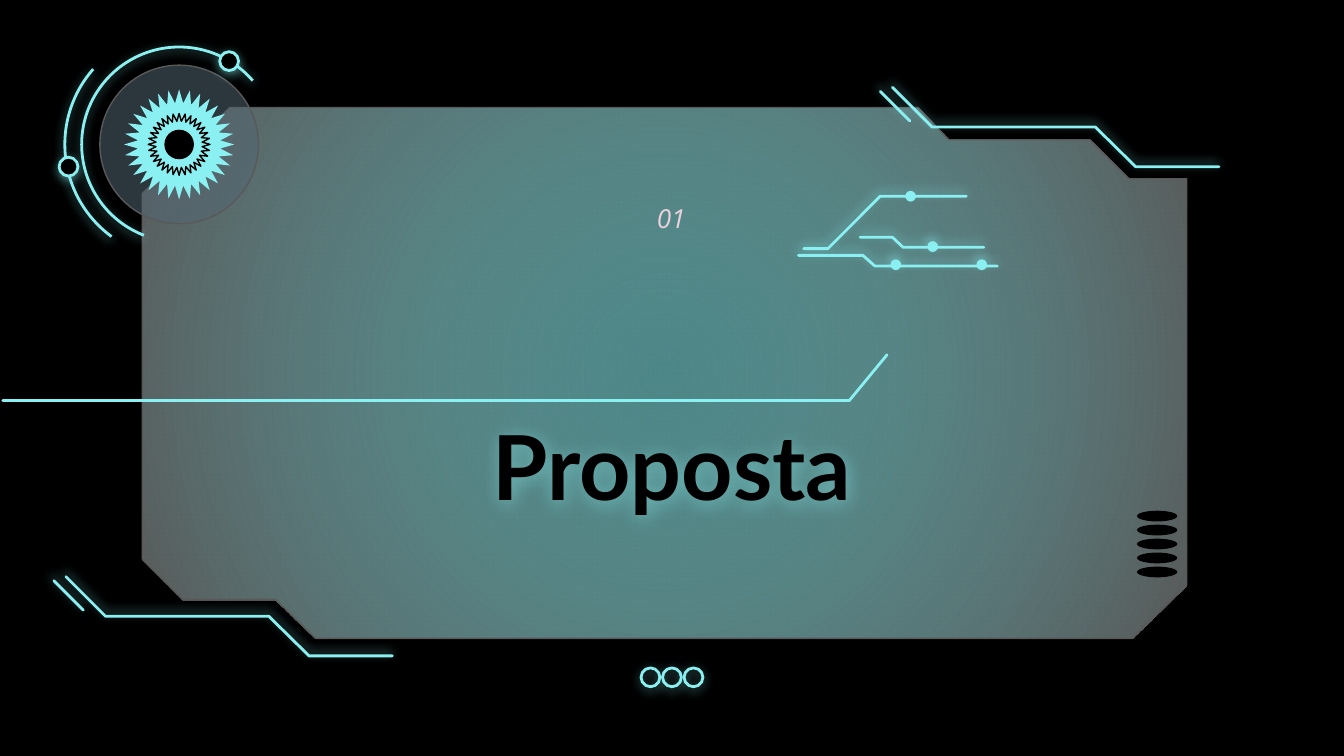
from dataclasses import dataclass
from pptx import Presentation
from pptx.dml.color import RGBColor
from pptx.enum.shapes import MSO_SHAPE
from pptx.enum.text import MSO_ANCHOR, MSO_AUTO_SIZE, PP_ALIGN
from pptx.oxml import parse_xml
from pptx.oxml.ns import nsdecls, qn
from pptx.util import Inches, Pt


@dataclass(frozen=True)
class Theme:
    ink: str = "000000"
    neon: str = "8BF0F1"
    edge: str = "595959"
    disc: str = "536672"
    number: str = "EAD1DC"
    title_font: str = "Lato"
    number_font: str = "Open Sans"
    title_size: float = 48
    number_size: float = 14
    stroke: float = 1.5
    hairline: float = 0.75
    upper_glow: tuple = (5.6, 2.2, 256)
    lower_glow: tuple = (5.6, 1.5, 90)
    title_glow: tuple = (10, 1.5, 90)


def format_text(frame, text, font, size, color, bold=False, italic=False, spacing=1.0):
    frame.word_wrap = True
    para = frame.paragraphs[0]
    para.alignment = PP_ALIGN.CENTER
    para.line_spacing = spacing
    span = para.add_run()
    span.text = text
    span.font.name = font
    span.font.size = Pt(size)
    span.font.bold = bold
    span.font.italic = italic
    span.font.color.rgb = RGBColor.from_string(color)


class Stage:
    columns = 100

    def __init__(self, deck, theme):
        self.theme = theme
        self.cell = deck.slide_width / self.columns
        self.page = deck.slides.add_slide(deck.slide_layouts[0])
        fill = self.page.background.fill
        fill.solid()
        fill.fore_color.rgb = RGBColor.from_string(theme.ink)

    def grid(self, *cells):
        return [round(value * self.cell) for value in cells]

    def glow(self, shape, glow):
        shape.shadow.inherit = False
        if glow:
            blur, distance, angle = glow
            effects = shape._element.spPr.find(qn("a:effectLst"))
            effects.append(parse_xml(
                f'<a:outerShdw {nsdecls("a")} blurRad="{int(Pt(blur))}" dist="{int(Pt(distance))}" '
                f'dir="{angle * 60000}" algn="bl" rotWithShape="0"><a:srgbClr val="{self.theme.neon}">'
                '<a:alpha val="50000"/></a:srgbClr></a:outerShdw>'))

    def style(self, shape, fill=None, line=None, weight=None, glow=None, alpha=None):
        if fill:
            shape.fill.solid()
            shape.fill.fore_color.rgb = RGBColor.from_string(fill)
        else:
            shape.fill.background()
        if alpha:
            color = shape._element.spPr.find(qn("a:solidFill"))[0]
            color.append(parse_xml(f'<a:alpha {nsdecls("a")} val="{alpha * 1000}"/>'))
        if line:
            shape.line.color.rgb = RGBColor.from_string(line)
            shape.line.width = Pt(weight or self.theme.stroke)
        else:
            shape.line.fill.background()
        self.glow(shape, glow)
        return shape

    def preset(self, kind, left, top, width, height, **style):
        shape = self.page.shapes.add_shape(kind, *self.grid(left, top, width, height))
        return self.style(shape, **style)

    def centred(self, kind, middle_x, middle_y, size, **style):
        half = size / 2
        return self.preset(kind, middle_x - half, middle_y - half, size, size, **style)

    def circle(self, middle_x, middle_y, size, **style):
        self.centred(MSO_SHAPE.OVAL, middle_x, middle_y, size, **style)

    def ring(self, middle_x, middle_y, fill=None):
        self.circle(middle_x, middle_y, 1.4, fill=fill, line=self.theme.neon,
                    glow=self.theme.lower_glow)

    def star(self, middle_x, middle_y, size, **style):
        self.centred(MSO_SHAPE.STAR_32_POINT, middle_x, middle_y, size,
                     fill=self.theme.neon, **style)

    def arc(self, middle_x, middle_y, size, start, end):
        shape = self.centred(MSO_SHAPE.ARC, middle_x, middle_y, size,
                             line=self.theme.neon, glow=self.theme.lower_glow)
        shape.adjustments[0] = start
        shape.adjustments[1] = end
        shape._element.spPr.find(qn("a:xfrm")).set("flipH", "1")

    def outline(self, points, closed=False):
        first, *rest = [self.grid(*point) for point in points]
        builder = self.page.shapes.build_freeform(*first)
        builder.add_line_segments(rest, close=closed)
        return builder.convert_to_shape()

    def trace(self, points, glow=None):
        shape = self.style(self.outline(points), line=self.theme.neon, glow=glow)
        shape._element.spPr.find(qn("a:ln")).set("cap", "rnd")

    def panel(self, points):
        theme = self.theme
        shape = self.style(self.outline(points, closed=True), line=theme.edge, weight=theme.hairline)
        properties = shape._element.spPr
        properties.replace(properties.find(qn("a:noFill")), parse_xml(
            f'<a:gradFill {nsdecls("a")} rotWithShape="1"><a:gsLst>'
            f'<a:gs pos="0"><a:srgbClr val="{theme.neon}"><a:alpha val="56000"/></a:srgbClr></a:gs>'
            f'<a:gs pos="100000"><a:srgbClr val="{theme.edge}"/></a:gs></a:gsLst>'
            '<a:path path="circle"><a:fillToRect l="50000" t="50000" r="50000" b="50000"/></a:path>'
            '</a:gradFill>'))

    def bracket(self, left, top):
        for stroke in [
            [(0, 0), (2.95, 2.95), (15.1, 2.95), (18.1, 5.9), (24.3, 5.9)],
            [(-0.9, 0.3), (1.3, 2.5)],
        ]:
            self.trace([(left + x, top + y) for x, y in stroke], self.theme.upper_glow)

    def title(self, text, left, top, width, height):
        title = self.page.shapes.title
        title.left, title.top, title.width, title.height = self.grid(left, top, width, height)
        frame = title.text_frame
        frame.auto_size = MSO_AUTO_SIZE.NONE
        frame.vertical_anchor = MSO_ANCHOR.MIDDLE
        frame.margin_left = frame.margin_right = frame.margin_top = frame.margin_bottom = Inches(0.1)
        format_text(frame, text, self.theme.title_font, self.theme.title_size, self.theme.ink,
                    bold=True, spacing=0.8)
        self.glow(title, self.theme.title_glow)
        self.page.shapes._spTree.append(title._element)

    def number(self, text, left, top, width, height):
        box = self.page.shapes.add_textbox(*self.grid(left, top, width, height))
        format_text(box.text_frame, text, self.theme.number_font, self.theme.number_size,
                    self.theme.number, italic=True)


deck = Presentation()
deck.slide_width, deck.slide_height = Inches(10), Inches(5.625)
theme = Theme()
stage = Stage(deck, theme)
subtitle = stage.page.placeholders[1]._element
subtitle.getparent().remove(subtitle)

stage.panel([(17.1, 8), (10.6, 14.4), (10.6, 41.6), (13.6, 44.6), (20.5, 44.6), (23.5, 47.5),
             (84.2, 47.5), (88.3, 43.5), (88.3, 13.3), (84, 13.3), (81.1, 10.4), (70.6, 10.4),
             (68.3, 8)])
stage.bracket(66.4, 6.5)
for row in range(5):
    stage.preset(MSO_SHAPE.OVAL, 84.6, 38 + row * 1.04, 3, 0.8, fill=theme.ink)
for column in range(3):
    stage.ring(48.4 + column * 1.6, 50.4)
stage.bracket(4.9, 42.9)

dial = (13.33, 10.75)
stage.arc(*dial, 17, 191.25, 32.26)
stage.ring(5.1, 12.4, fill=theme.ink)
stage.arc(*dial, 14.5, 132.56, 41.29)
stage.circle(*dial, 11.8, fill=theme.disc, alpha=54, line=theme.edge, weight=theme.hairline)
stage.star(*dial, 8.2)
stage.star(*dial, 4.6, line=theme.ink, weight=theme.hairline)
stage.circle(*dial, 2.2, fill=theme.ink)
stage.ring(17.05, 4.55, fill=theme.ink)

stage.title("Proposta", 19.1, 32.2, 61.8, 6.3)
for x, y in [(69.4, 18.35), (66.65, 19.7), (73.05, 19.7)]:
    stage.circle(x, y, 0.8, fill=theme.neon, glow=theme.upper_glow)
stage.circle(67.75, 14.6, 0.8, fill=theme.neon)
for circuit in [
    [(59.4, 19), (64.2, 19), (65.1, 19.8), (74.2, 19.8)],
    [(64, 17.65), (66.4, 17.65), (67.2, 18.4), (73.2, 18.4)],
    [(59.8, 18.5), (61.6, 18.5), (65.5, 14.6), (71.9, 14.6)],
]:
    stage.trace(circuit, theme.upper_glow)
stage.number("01", 39.3, 14.6, 21.3, 12.1)
stage.trace([(66, 26.4), (63.2, 29.8), (0.2, 29.8)])

deck.save("out.pptx")
